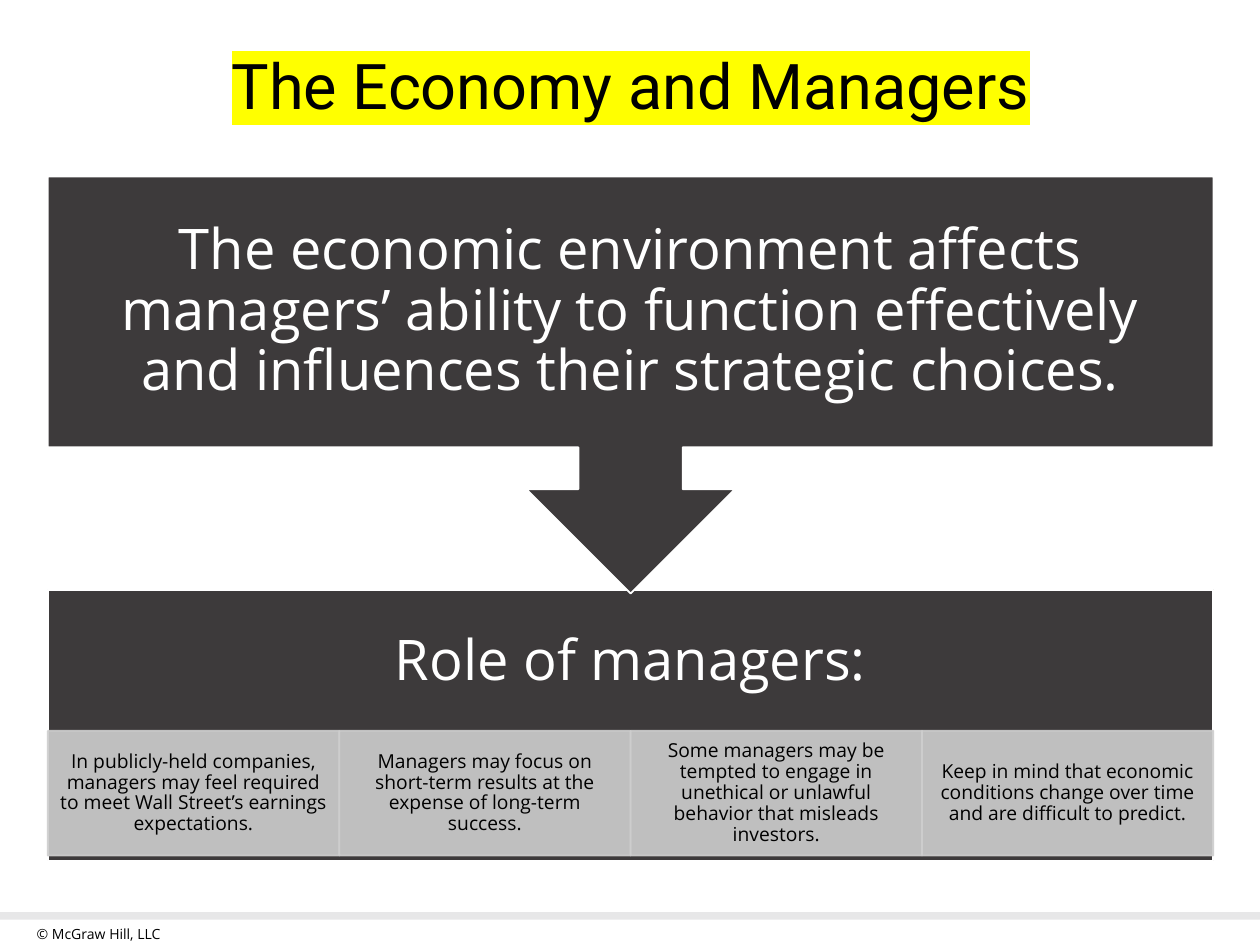
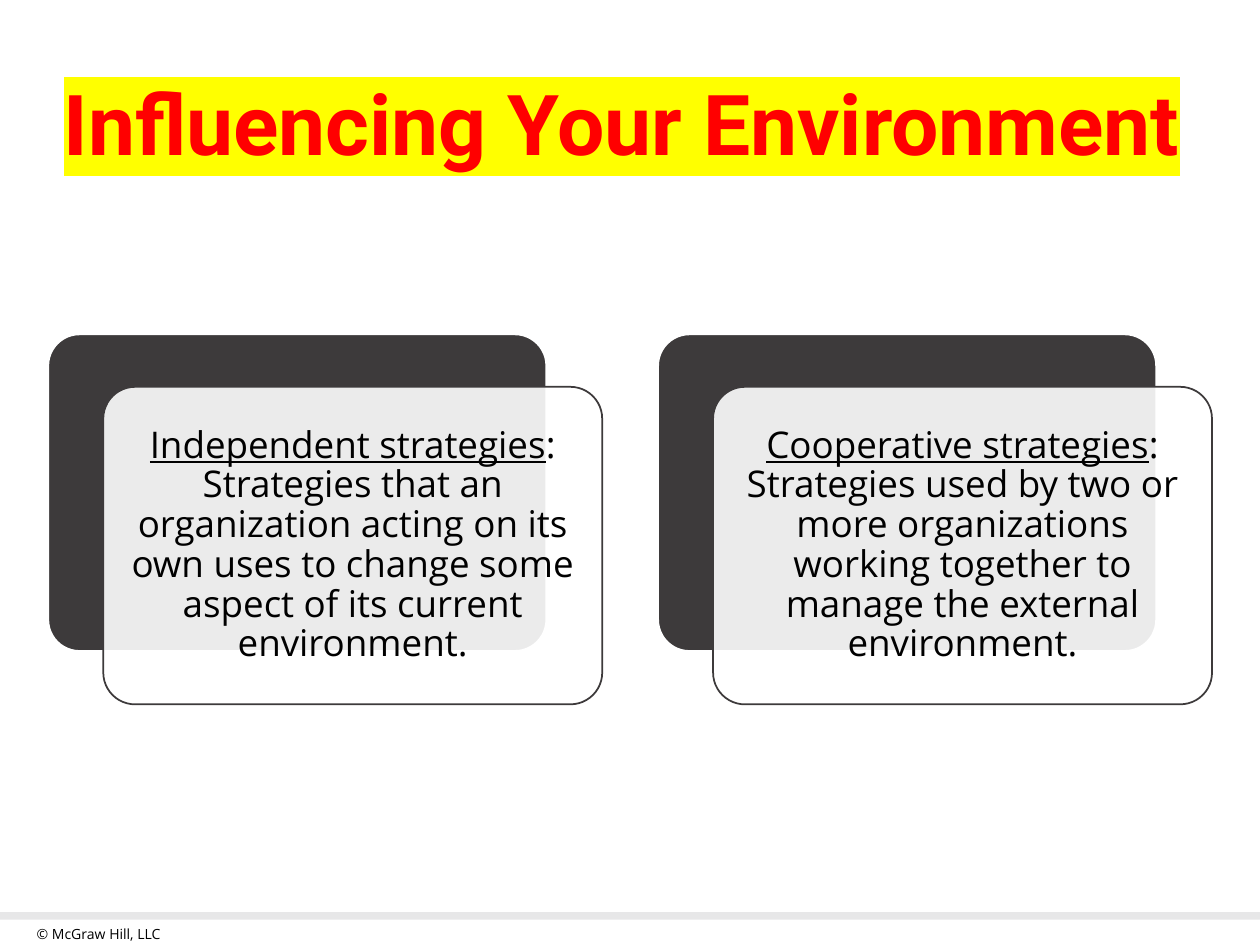
from dataclasses import dataclass

from lxml import etree
from pptx import Presentation
from pptx.dml.color import RGBColor
from pptx.enum.shapes import MSO_SHAPE
from pptx.enum.text import MSO_ANCHOR, PP_ALIGN
from pptx.oxml.ns import qn
from pptx.util import Inches, Pt

RECT = MSO_SHAPE.RECTANGLE
ROUND = MSO_SHAPE.ROUNDED_RECTANGLE
CALLOUT = MSO_SHAPE.DOWN_ARROW_CALLOUT
MIDDLE = MSO_ANCHOR.MIDDLE
LEFT, CENTER = PP_ALIGN.LEFT, PP_ALIGN.CENTER


@dataclass(frozen=True)
class Theme:
    head: str = "Roboto"
    body: str = "Open Sans"
    dark: str = "3D3A3B"
    cell: str = "CECECE"
    band: str = "E7E7E8"
    white: str = "FFFFFF"
    black: str = "000000"
    red: str = "FF0000"
    mark: str = "FFFF00"
    title: int = 36
    large: int = 48
    lead: int = 32
    card: int = 21
    note: int = 11
    foot: int = 8


THEME = Theme()
SIDE = 0.38
WIDTH = 9.25


class Deck:
    def __init__(self, theme):
        self.theme = theme
        self.prs = Presentation()
        self.prs.slide_width = Inches(10)
        self.prs.slide_height = Inches(7.5)
        self.slide = None

    def start(self):
        """Add a slide with the footer band and copyright line."""
        t = self.theme
        self.slide = self.prs.slides.add_slide(self.prs.slide_layouts[6])
        self.shape(RECT, (0, 7.24, 10, 0.06), t.band)
        foot = self.box((0.24, 7.29, 1.35, 0.24))
        self.label(foot, ["© McGraw Hill, LLC"], t.foot, t.black,
                   pad=(0.05,) * 4, align=LEFT, space=1)

    def box(self, area):
        return self.slide.shapes.add_textbox(*map(Inches, area))

    def shape(self, kind, area, fill, line=None, weight=1, alpha=None):
        """Add a shape; alpha is the opacity, in percent, of its fill colour."""
        item = self.slide.shapes.add_shape(kind, *map(Inches, area))
        item.shadow.inherit = False
        item.fill.solid()
        item.fill.fore_color.rgb = RGBColor.from_string(fill)
        if line:
            item.line.color.rgb = RGBColor.from_string(line)
            item.line.width = Pt(weight)
        else:
            item.line.fill.background()
        if alpha:
            for clr in item._element.spPr.iter(qn("a:srgbClr")):
                if clr.get("val") == fill:
                    etree.SubElement(clr, qn("a:alpha"), val=str(alpha * 1000))
        return item

    def label(self, item, runs, size, color, font=None, pad=(0.1, 0.05, 0.1, 0.05),
              align=CENTER, space=0.9):
        """Fill one paragraph with runs and return them; pad is left, top, right, bottom."""
        frame = item.text_frame
        frame.word_wrap = True
        frame.vertical_anchor = MIDDLE
        (frame.margin_left, frame.margin_top,
         frame.margin_right, frame.margin_bottom) = map(Inches, pad)
        para = frame.paragraphs[0]
        para.alignment = align
        para.line_spacing = space
        made = []
        for text in runs:
            run = para.add_run()
            run.text = text
            run.font.size = Pt(size)
            run.font.name = font or self.theme.body
            run.font.color.rgb = RGBColor.from_string(color)
            made.append(run)
        return made

    def title(self, text, area, size, color, bold=False):
        """Add a centred title with a highlight behind it."""
        t = self.theme
        run, = self.label(self.box(area), [text], size, color, font=t.head)
        run.font.bold = bold
        mark = etree.Element(qn("a:highlight"))
        etree.SubElement(mark, qn("a:srgbClr"), val=t.mark)
        run._r.rPr.find(qn("a:solidFill")).addnext(mark)

    def cell(self, text, area):
        t = self.theme
        item = self.shape(RECT, area, t.cell, t.cell, alpha=90)
        self.label(item, [text], t.note, t.black, pad=(0.09, 0.02, 0.09, 0.02))

    def card(self, term, text, left, top):
        """Add a dark panel with an offset, see-through card in front."""
        t = self.theme
        wide, high = 3.96, 2.52
        back = self.shape(ROUND, (left, top, wide, high), t.dark, t.white, 1.5)
        front = self.shape(ROUND, (left + 0.44, top + 0.42, wide, high),
                           t.white, t.dark, alpha=90)
        for item in (back, front):
            item.adjustments[0] = 0.1
        runs = self.label(front, [term, text], t.card, t.black, pad=(0.09,) * 4)
        runs[0].font.underline = True


def economy(deck):
    t = deck.theme
    deck.start()
    deck.title("The Economy and Managers", (SIDE, 0.26, WIDTH, 0.9), t.title, t.black)

    role = deck.shape(RECT, (SIDE, 4.68, WIDTH, 2.15), t.dark, t.white)
    deck.label(role, ["Role of managers:"], t.lead, t.white,
               pad=(0.25, 0.25, 0.25, 1.24))
    notes = (
        "In publicly-held companies, managers may feel required to meet "
        "Wall Street’s earnings expectations.",
        "Managers may focus on short-term results at the expense of long-term success.",
        "Some managers may be tempted to engage in unethical or unlawful "
        "behavior that misleads investors.",
        "Keep in mind that economic conditions change over time and are "
        "difficult to predict.",
    )
    wide = WIDTH / len(notes)
    for i, note in enumerate(notes):
        deck.cell(note, (SIDE + i * wide, 5.8, wide, 0.99))

    lead = deck.shape(CALLOUT, (SIDE, 1.4, WIDTH, 3.31), t.dark, t.white)
    deck.label(lead, ["The economic environment affects managers’ ability to function "
                      "effectively and influences their strategic choices."],
               t.lead, t.white, pad=(0.25,) * 4)


def influence(deck):
    t = deck.theme
    deck.start()
    deck.title("Influencing Your Environment", (0.31, 0.29, WIDTH, 1.45),
               t.large, t.red, bold=True)
    cards = (
        ("Independent strategies",
         ": Strategies that an organization acting on its own uses to change "
         "some aspect of its current environment."),
        ("Cooperative strategies",
         ": Strategies used by two or more organizations working together to "
         "manage the external environment."),
    )
    for i, (term, text) in enumerate(cards):
        deck.card(term, text, SIDE + i * 4.84, 2.65)


def main():
    deck = Deck(THEME)
    economy(deck)
    influence(deck)
    deck.prs.save("out.pptx")


if __name__ == "__main__":
    main()
